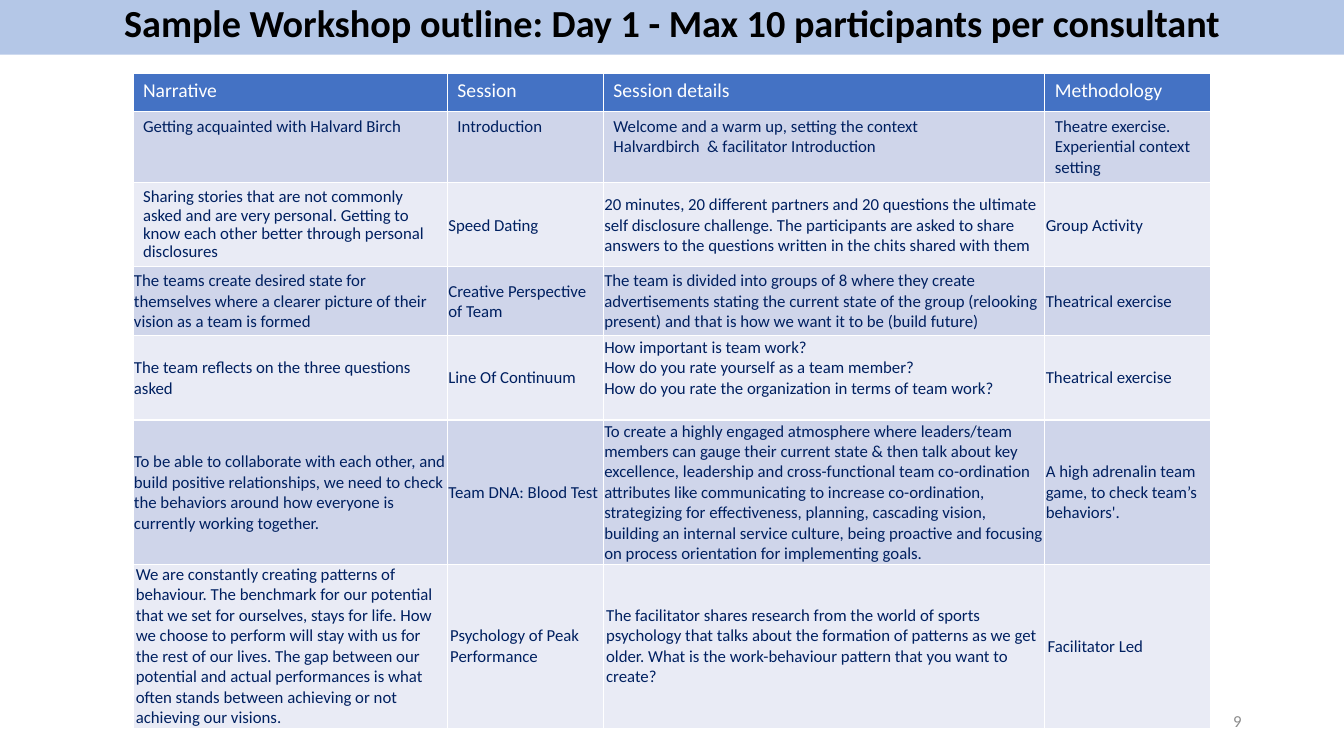
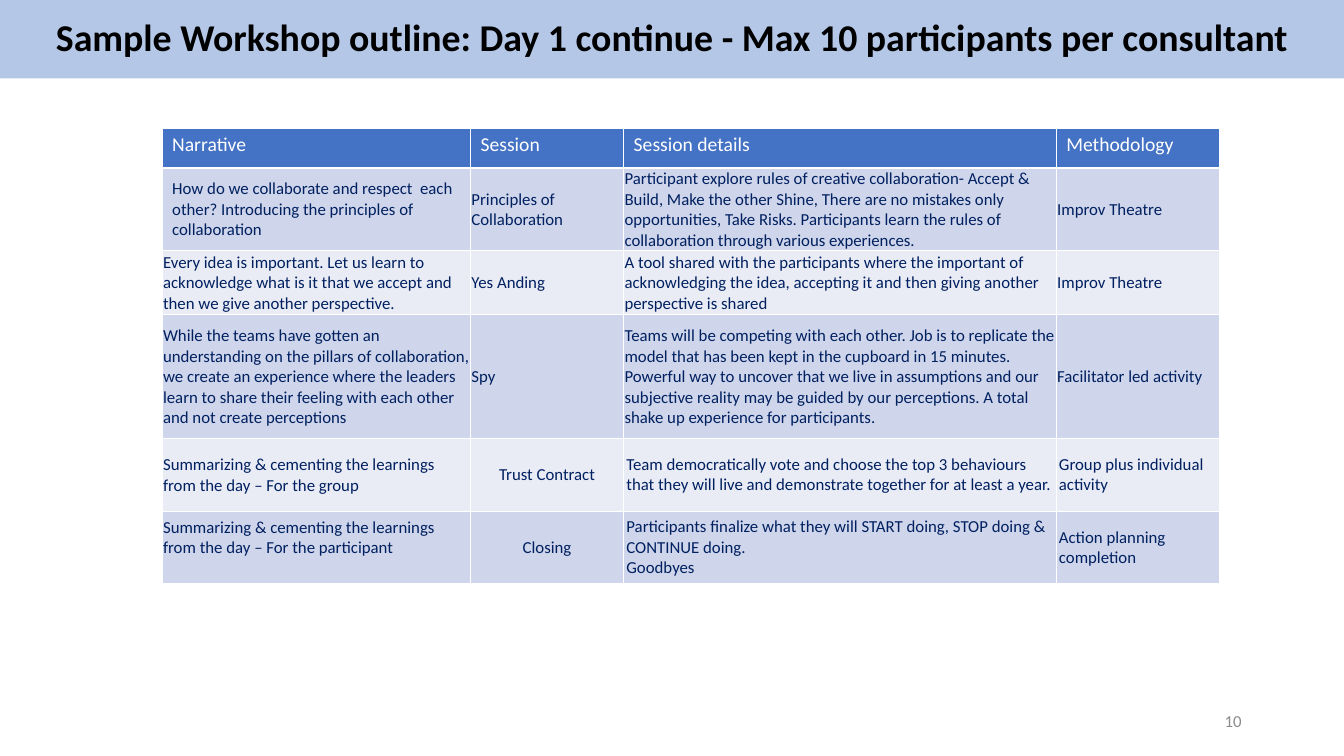
from dataclasses import dataclass, replace
from itertools import cycle

from pptx import Presentation
from pptx.dml.color import RGBColor
from pptx.enum import text
from pptx.util import Pt

FONT = "Calibri"
SLIDE_WIDTH, SLIDE_HEIGHT = 960, 540
BAND_COLOUR = "B4C7E7"
HEADER_FILL = "4472C4"
ROW_FILLS = ("CFD5EA", "E9EBF5")
HEADINGS = ("Narrative", "Session", "Session details", "Methodology")


@dataclass(frozen=True)
class CellStyle:
    insets: tuple[float, float, float, float] = (7.2, 3.6, 7.2, 3.6)
    middle: bool = True
    centred: bool = False
    size: float = 12
    colour: str = "002060"
    line_spacing: float = 1


ROOMY = CellStyle()
TOP = replace(ROOMY, middle=False)
HEADER = replace(TOP, size=14, colour="FFFFFF")
DENSE = replace(TOP, line_spacing=0.9)
TIGHT = CellStyle(insets=(0.7, 0.7, 0.7, 0))
RAISED = replace(TIGHT, insets=(0.7, 0.7, 0.7, 14.6))
SNUG = CellStyle(insets=(2, 0, 2, 0))
CENTRED = replace(SNUG, centred=True)


@dataclass(frozen=True)
class Row:
    height: float
    texts: tuple[str, ...]
    styles: tuple[CellStyle, ...] = (TIGHT,) * 4


@dataclass(frozen=True)
class Outline:
    title: str
    title_size: float
    band_top: float
    band_height: float
    number: int
    left: float
    top: float
    widths: tuple[float, ...]
    header_height: float
    rows: tuple[Row, ...]


OUTLINES = (
    Outline(
        "Sample Workshop outline: Day 1 - Max 10 participants per consultant",
        27.3, -3, 42, 9, 95, 52.5, (224.6, 111.4, 315.4, 118.6), 27,
        (
            Row(51, (
                "Getting acquainted with Halvard Birch",
                "Introduction",
                "Welcome and a warm up, setting the context\n"
                "Halvardbirch  & facilitator Introduction",
                "Theatre exercise. Experiential context setting",
            ), (TOP,) * 4),
            Row(60, (
                "Sharing stories that are not commonly asked and are very personal. "
                "Getting to know each other better through personal disclosures",
                "Speed Dating",
                "20 minutes, 20 different partners and 20 questions the ultimate self "
                "disclosure challenge. The participants are asked to share answers to "
                "the questions written in the chits shared with them",
                "Group Activity",
            ), (DENSE, TIGHT, TIGHT, TIGHT)),
            Row(49, (
                "The teams create desired state for themselves where a clearer "
                "picture of their vision as a team is formed",
                "Creative Perspective of Team",
                "The team is divided into groups of 8 where they create advertisements "
                "stating the current state of the group (relooking present) and that "
                "is how we want it to be (build future)",
                "Theatrical exercise",
            )),
            Row(60.5, (
                "The team reflects on the three questions asked",
                "Line Of Continuum",
                "How important is team work?\n"
                "How do you rate yourself as a team member?\n"
                "How do you rate the organization in terms of team work?",
                "Theatrical exercise",
            ), (TIGHT, TIGHT, RAISED, TIGHT)),
            Row(102.5, (
                "To be able to collaborate with each other, and build positive "
                "relationships, we need to check the behaviors around how everyone "
                "is currently working together.",
                "Team DNA: Blood Test",
                "To create a highly engaged atmosphere where leaders/team members can "
                "gauge their current state & then talk about key excellence, "
                "leadership and cross-functional team co-ordination attributes like "
                "communicating to increase co-ordination, strategizing for "
                "effectiveness, planning, cascading vision, building an internal "
                "service culture, being proactive and focusing on process orientation "
                "for implementing goals.",
                "A high adrenalin team game, to check team’s behaviors'.",
            )),
            Row(117, (
                "We are constantly creating patterns of behaviour. The benchmark for "
                "our potential that we set for ourselves, stays for life. How we "
                "choose to perform will stay with us for the rest of our lives. The "
                "gap between our potential and actual performances is what often "
                "stands between achieving or not achieving our visions.",
                "Psychology of Peak Performance",
                "The facilitator shares research from the world of sports psychology "
                "that talks about the formation of patterns as we get older. What is "
                "the work-behaviour pattern that you want to create?",
                "Facilitator Led",
            ), (SNUG,) * 4),
        ),
    ),
    Outline(
        "Sample Workshop outline: Day 1 continue - Max 10 participants per consultant",
        27, 0, 56, 10, 115.8, 91.5, (220.3, 109.4, 309, 116.6), 28.5,
        (
            Row(59, (
                "How do we collaborate and respect  each other? Introducing the "
                "principles of collaboration",
                "Principles of Collaboration",
                "Participant explore rules of creative collaboration- Accept & Build, "
                "Make the other Shine, There are no mistakes only opportunities, Take "
                "Risks. Participants learn the rules of collaboration through various "
                "experiences.",
                "Improv Theatre",
            ), (ROOMY, TIGHT, TIGHT, TIGHT)),
            Row(45.5, (
                "Every idea is important. Let us learn to acknowledge what is it that "
                "we accept and then we give another perspective.",
                "Yes Anding",
                "A tool shared with the participants where the important of "
                "acknowledging the idea, accepting it and then giving another "
                "perspective is shared",
                "Improv Theatre",
            )),
            Row(88.5, (
                "While the teams have gotten an understanding on the pillars of "
                "collaboration, we create an experience where the leaders learn to "
                "share their feeling with each other and not create perceptions",
                "Spy",
                "Teams will be competing with each other. Job is to replicate the "
                "model that has been kept in the cupboard in 15 minutes. Powerful way "
                "to uncover that we live in assumptions and our subjective reality "
                "may be guided by our perceptions. A total shake up experience for "
                "participants.",
                "Facilitator led activity",
            )),
            Row(52, (
                "Summarizing & cementing the learnings from the day – For the group",
                "Trust Contract",
                "Team democratically vote and choose the top 3 behaviours that they "
                "will live and demonstrate together for at least a year.",
                "Group plus individual activity",
            ), (TIGHT, CENTRED, SNUG, SNUG)),
            Row(52, (
                "Summarizing & cementing the learnings from the day – For the "
                "participant",
                "Closing",
                "Participants finalize what they will START doing, STOP doing & "
                "CONTINUE doing.\nGoodbyes",
                "Action planning completion",
            ), (RAISED, CENTRED, SNUG, SNUG)),
        ),
    ),
)


def rgb(colour: str) -> RGBColor:
    return RGBColor.from_string(colour)


def fill_solid(target, colour: str) -> None:
    target.fill.solid()
    target.fill.fore_color.rgb = rgb(colour)


def format_text(text_frame, size: float, colour: str, alignment,
                bold: bool = False, line_spacing: float = 1) -> None:
    for paragraph in text_frame.paragraphs:
        paragraph.alignment = alignment
        paragraph.line_spacing = line_spacing
        for run in paragraph.runs:
            run.font.name = FONT
            run.font.size = Pt(size)
            run.font.bold = bold
            run.font.color.rgb = rgb(colour)


def place(shape, left: float, top: float, width: float, height: float) -> None:
    shape.left, shape.top = Pt(left), Pt(top)
    shape.width, shape.height = Pt(width), Pt(height)


def draw_title(slide, outline: Outline) -> None:
    title = slide.shapes.title
    place(title, 0, outline.band_top, SLIDE_WIDTH, outline.band_height)
    fill_solid(title, BAND_COLOUR)
    frame = title.text_frame
    frame.text = outline.title
    frame.auto_size = text.MSO_AUTO_SIZE.NONE
    frame.vertical_anchor = text.MSO_ANCHOR.MIDDLE
    format_text(frame, outline.title_size, "000000", text.PP_ALIGN.CENTER, True, 0.9)


def draw_cell(cell, content: str, style: CellStyle, colour: str) -> None:
    left, top, right, bottom = style.insets
    cell.margin_left, cell.margin_top = Pt(left), Pt(top)
    cell.margin_right, cell.margin_bottom = Pt(right), Pt(bottom)
    anchors = text.MSO_ANCHOR
    cell.vertical_anchor = anchors.MIDDLE if style.middle else anchors.TOP
    cell.text_frame.text = content
    alignment = text.PP_ALIGN.CENTER if style.centred else text.PP_ALIGN.LEFT
    format_text(cell.text_frame, style.size, style.colour, alignment,
                line_spacing=style.line_spacing)
    fill_solid(cell, colour)


def draw_table(slide, outline: Outline) -> None:
    header = Row(outline.header_height, HEADINGS, (HEADER,) * len(HEADINGS))
    rows = (header, *outline.rows)
    table = slide.shapes.add_table(
        len(rows), len(HEADINGS), Pt(outline.left), Pt(outline.top),
        Pt(sum(outline.widths)), Pt(sum(row.height for row in rows))).table
    for column, width in zip(table.columns, outline.widths):
        column.width = Pt(width)
    band_fills = cycle(ROW_FILLS)
    for table_row, row in zip(table.rows, rows):
        table_row.height = Pt(row.height)
        colour = HEADER_FILL if row is header else next(band_fills)
        for cell, content, style in zip(table_row.cells, row.texts, row.styles):
            draw_cell(cell, content, style, colour)


def draw_slide_number(slide, number: int) -> None:
    box = slide.shapes.add_textbox(Pt(678), Pt(500.5), Pt(216), Pt(28.8))
    frame = box.text_frame
    frame.word_wrap = True
    frame.vertical_anchor = text.MSO_ANCHOR.MIDDLE
    frame.text = str(number)
    format_text(frame, 12, "8C8C8C", text.PP_ALIGN.RIGHT)


def main() -> None:
    presentation = Presentation()
    presentation.slide_width = Pt(SLIDE_WIDTH)
    presentation.slide_height = Pt(SLIDE_HEIGHT)
    title_only = presentation.slide_layouts.get_by_name("Title Only")
    for outline in OUTLINES:
        slide = presentation.slides.add_slide(title_only)
        draw_title(slide, outline)
        draw_table(slide, outline)
        draw_slide_number(slide, outline.number)
    presentation.save("out.pptx")


if __name__ == "__main__":
    main()
